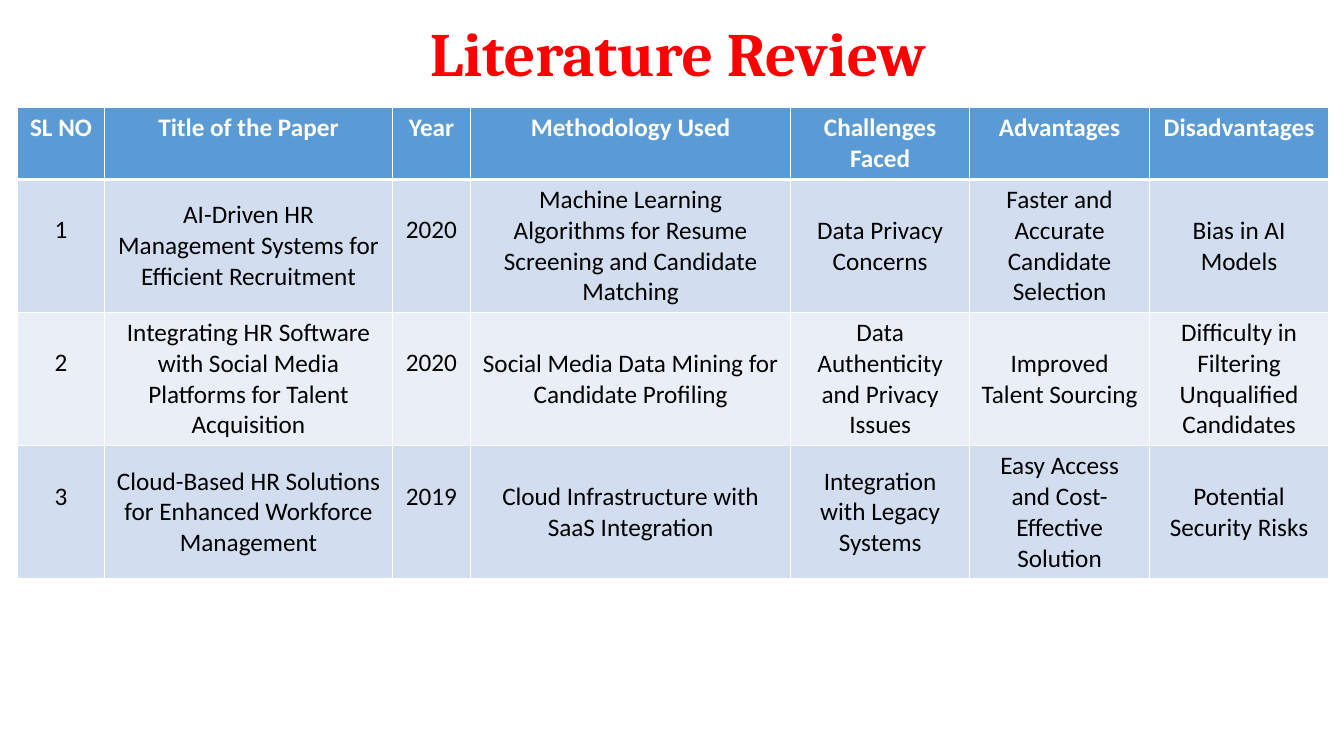
"""Build the literature review slide with its comparison table of papers."""
from lxml import etree
from pptx import Presentation
from pptx import util as u
from pptx.dml.color import RGBColor
from pptx.enum import text
from pptx.oxml import ns

COLOURS = {"title": "FF0000", "header": "5B9BD5", "odd": "D2DEEF",
           "even": "EAEFF7", "white": "FFFFFF", "body": "000000"}
COLUMN_WIDTHS = [0.87, 2.85, 0.78, 3.17, 1.78, 1.78, 1.78]
ROW_HEIGHTS = [0.7, 1.32, 1.32, 1.32]
REVIEW = [
    ["SL NO", "Title of the Paper", "Year", "Methodology Used",
     "Challenges Faced", "Advantages", "Disadvantages"],
    ["1", "AI-Driven HR Management Systems for Efficient Recruitment", "2020",
     "Machine Learning Algorithms for Resume Screening and Candidate Matching",
     "Data Privacy Concerns", "Faster and Accurate Candidate Selection",
     "Bias in AI Models"],
    ["2", "Integrating HR Software with Social Media Platforms for Talent Acquisition",
     "2020", "Social Media Data Mining for Candidate Profiling",
     "Data Authenticity and Privacy Issues", "Improved Talent Sourcing",
     "Difficulty in Filtering Unqualified Candidates"],
    ["3", "Cloud-Based HR Solutions for Enhanced Workforce Management", "2019",
     "Cloud Infrastructure with SaaS Integration",
     "Integration with Legacy Systems",
     "Easy Access and Cost-Effective Solution", "Potential Security Risks"],
]


def style_text(paragraph, font_name, size, colour, bold):
    paragraph.alignment = text.PP_ALIGN.CENTER
    paragraph.font.name = font_name
    paragraph.font.size = u.Pt(size)
    paragraph.font.bold = bold
    paragraph.font.color.rgb = RGBColor.from_string(COLOURS[colour])


def add_border(cell, side, width):
    line = etree.SubElement(cell._tc.get_or_add_tcPr(), ns.qn(f"a:ln{side}"),
                            w=str(u.Pt(width)))
    fill = etree.SubElement(line, ns.qn("a:solidFill"))
    etree.SubElement(fill, ns.qn("a:srgbClr"), val=COLOURS["white"])


deck = Presentation()
deck.slide_width, deck.slide_height = u.Inches(13.33), u.Inches(7.5)
slide = deck.slides.add_slide(deck.slide_layouts[5])

title = slide.shapes.title
title.left, title.top = u.Inches(0.89), u.Inches(0.3)
title.width, title.height = u.Inches(11.67), u.Inches(0.53)
title.text_frame.text = "Literature Review"
title.text_frame.auto_size = text.MSO_AUTO_SIZE.NONE
title.text_frame.vertical_anchor = text.MSO_ANCHOR.MIDDLE
heading = title.text_frame.paragraphs[0]
heading.line_spacing = 0.9
style_text(heading, "Cambria", 44, "title", True)

papers = slide.shapes.add_table(
    len(REVIEW), len(COLUMN_WIDTHS), u.Inches(0.17), u.Inches(1.07),
    u.Inches(sum(COLUMN_WIDTHS)), u.Inches(sum(ROW_HEIGHTS))).table
for column, width in zip(papers.columns, COLUMN_WIDTHS):
    column.width = u.Inches(width)

for r, entries in enumerate(REVIEW):
    papers.rows[r].height = u.Inches(ROW_HEIGHTS[r])
    is_header = r == 0
    band = "header" if is_header else "odd" if r % 2 else "even"
    for c, entry in enumerate(entries):
        cell = papers.cell(r, c)
        cell.text = entry
        style_text(cell.text_frame.paragraphs[0], "Calibri", 18,
                   "white" if is_header else "body", is_header)
        if not is_header and c in (0, 2):
            cell.margin_top = u.Inches(0.35)
        elif not is_header:
            cell.vertical_anchor = text.MSO_ANCHOR.MIDDLE
        for side in "LRTB":
            under_header = (r, side) in ((0, "B"), (1, "T"))
            add_border(cell, side, 3 if under_header else 1)
        cell.fill.solid()
        cell.fill.fore_color.rgb = RGBColor.from_string(COLOURS[band])

deck.save("out.pptx")
